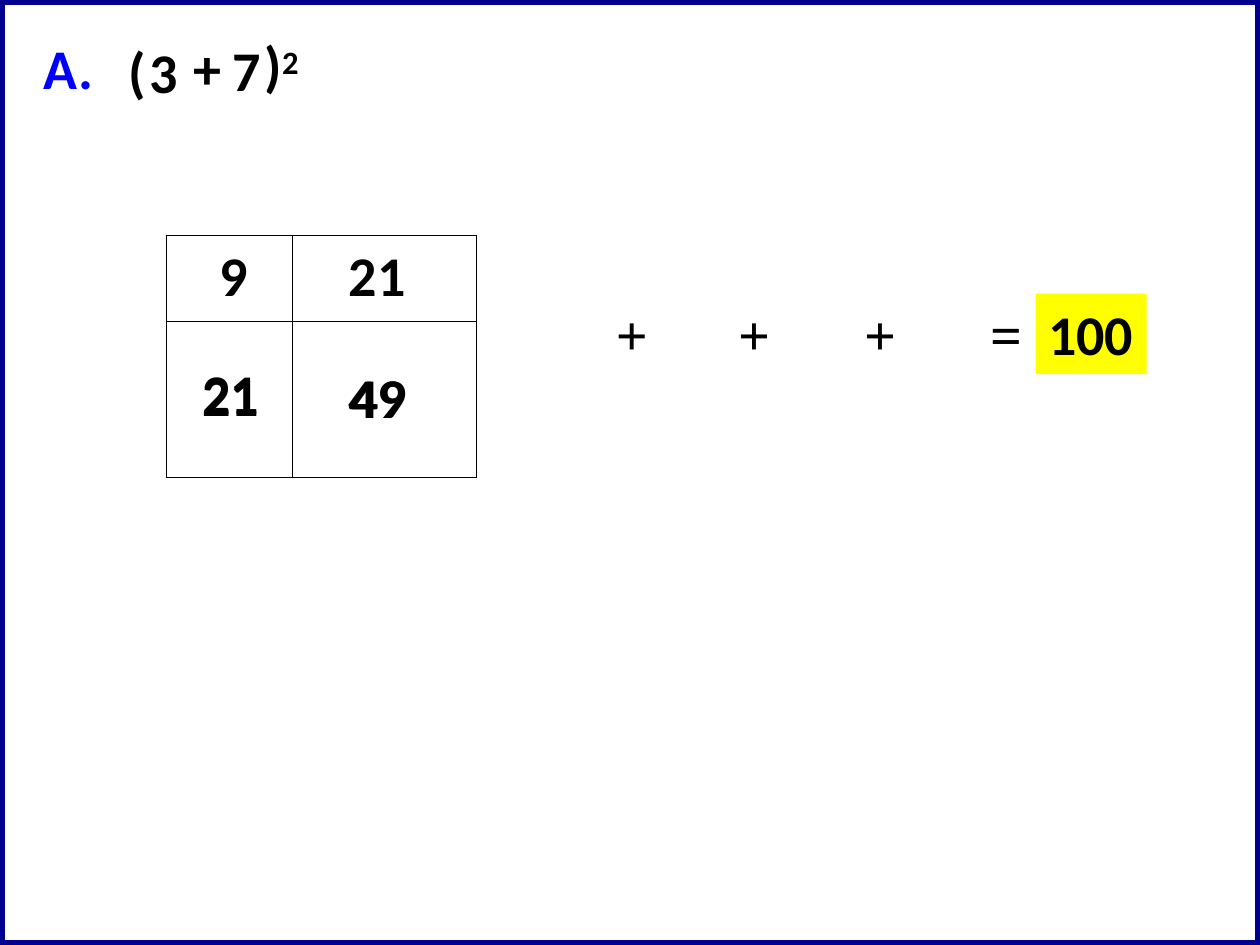
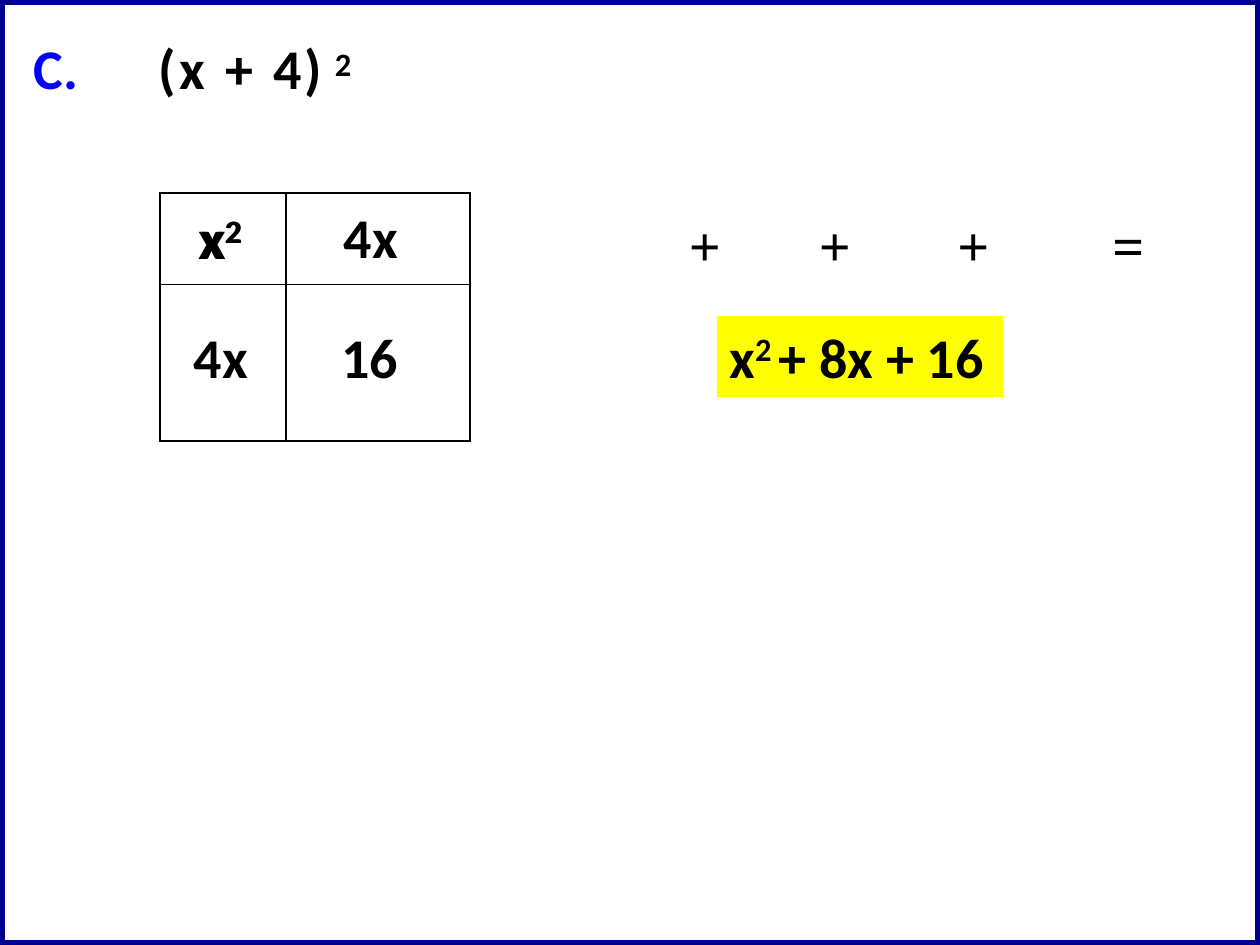
from lxml.etree import SubElement
from pptx import Presentation
from pptx.dml.color import RGBColor
from pptx.enum.shapes import MSO_SHAPE
from pptx.enum.text import MSO_ANCHOR, MSO_AUTO_SIZE, PP_ALIGN
from pptx.oxml.ns import qn
from pptx.util import Inches, Pt

COLS, ROWS = 100, 75
BLACK, WHITE, BLUE, NAVY, YELLOW = "000000", "FFFFFF", "0000FF", "000090", "FFFF00"
SANS, SERIF = "Calibri", "Times New Roman"
HIGH = 6.4  # rows taken by one line of text


def paint(code):
    return RGBColor.from_string(code)


class Deck:
    """Holds the style and the current slide; lengths are grid columns and rows."""

    def __init__(self):
        self.file = Presentation()
        self.file.slide_width, self.file.slide_height = Inches(10), Inches(7.5)
        self.slide = None

    def spot(self, x, y, w, h):
        across, down = self.file.slide_width / COLS, self.file.slide_height / ROWS
        return int(x * across), int(y * down), int(w * across), int(h * down)

    def page(self):
        self.slide = self.file.slides.add_slide(self.file.slide_layouts[6])
        frame = self.rect(0, 0, COLS, ROWS, WHITE)
        frame.line.color.rgb = paint(NAVY)
        frame.line.width = Pt(6)

    def rect(self, x, y, w, h, fill):
        shape = self.slide.shapes.add_shape(MSO_SHAPE.RECTANGLE, *self.spot(x, y, w, h))
        shape.shadow.inherit = False
        shape.fill.solid()
        shape.fill.fore_color.rgb = paint(fill)
        shape.line.fill.background()
        return shape

    def letter(self, shape, runs, color=BLACK, face=SANS):
        """Add the runs to the shape; a run that starts with ^ is raised."""
        frame = shape.text_frame
        frame.word_wrap = False
        frame.auto_size = MSO_AUTO_SIZE.SHAPE_TO_FIT_TEXT
        frame.vertical_anchor = MSO_ANCHOR.TOP
        line = frame.paragraphs[0]
        line.alignment = PP_ALIGN.LEFT
        for text in runs:
            run = line.add_run()
            run.text = text.lstrip("^")
            font = run.font
            font.size, font.bold, font.name = Pt(32), True, face
            font.color.rgb = paint(color)
            if text.startswith("^"):
                run._r.get_or_add_rPr().set("baseline", "30000")

    def text(self, x, y, w, *runs, high=HIGH, **style):
        box = self.slide.shapes.add_textbox(*self.spot(x, y, w, high))
        self.letter(box, runs, **style)

    def result(self, x, y, w, *runs):
        self.letter(self.rect(x, y, w, HIGH, YELLOW), runs)

    def table(self, x, y, wide, tall):
        place = self.spot(x, y, sum(wide), sum(tall))
        grid = self.slide.shapes.add_table(len(tall), len(wide), *place).table
        grid.first_row = grid.horz_banding = False
        for col, w in zip(grid.columns, wide):
            col.width = self.spot(0, 0, w, 0)[2]
        for row, h in zip(grid.rows, tall):
            row.height = self.spot(0, 0, 0, h)[3]
        for cell in grid.iter_cells():
            self.edge(cell)
            cell.fill.background()

    def edge(self, cell):
        props = cell._tc.get_or_add_tcPr()
        for side in "LRTB":
            line = SubElement(props, qn(f"a:ln{side}"), w=str(int(Pt(1))))
            fill = SubElement(line, qn("a:solidFill"))
            SubElement(fill, qn("a:srgbClr"), val=BLACK)

    def signs(self, y, places):
        for sign, x in zip("+++=", places):
            self.text(x, y, 4.6, sign, face=SERIF)

    def words(self, items):
        for x, y, w, *runs in items:
            self.text(x, y, w, *runs)

    def power(self, x, y):
        self.text(x, y, 3.5, "^2", high=4.6)


def numbers(deck):
    deck.page()
    deck.text(2.5, 2.2, 5.9, "A.", color=BLUE)
    deck.words([(9.2, 2.4, 3.4, "("), (10.9, 2.5, 4.3, "3"), (14.4, 2.2, 4.3, "+"),
                (17.5, 2.3, 4.3, "7"), (20, 1.9, 3.5, ")")])
    deck.power(21.4, 2.3)
    deck.table(13.2, 18.7, (10, 14.6), (6.8, 12.4))
    deck.words([(16.4, 18.6, 4.3, "9"), (26.7, 18.6, 6.6, "21"),
                (15.1, 28.1, 6.6, "21"), (15.1, 28, 6.6, "21"),
                (26.7, 28.3, 6.6, "49"), (26.8, 28.3, 6.6, "49")])
    deck.signs(23.3, (47.9, 57.6, 67.6, 77.6))
    deck.result(82.2, 23.3, 8.8, "100")


def letters(deck):
    deck.page()
    deck.text(1.7, 2.2, 5.6, "C.", color=BLUE)
    deck.words([(11.6, 2.2, 3.4, "("), (13.3, 2.2, 4.1, "x"), (16.9, 2.2, 4.3, "+"),
                (20.7, 2.2, 4.3, "4"), (23.2, 2.2, 3.4, ")")])
    deck.power(25.6, 2.5)
    deck.table(12.7, 15.3, (10, 14.6), (7.3, 12.4))
    deck.words([(14.8, 15.7, 5.6, "x", "^2"), (14.9, 15.7, 5.6, "x", "^2"),
                (26.3, 15.6, 6.4, "4x"), (14.4, 25.1, 6.4, "4x"),
                (26.1, 25.1, 6.6, "16")])
    deck.signs(16.2, (53.7, 64, 75, 87.3))
    deck.result(56.9, 25.1, 22.7, "x", "^2 ", "+ 8x + 16")


def main():
    deck = Deck()
    numbers(deck)
    letters(deck)
    deck.file.save("out.pptx")


if __name__ == "__main__":
    main()
